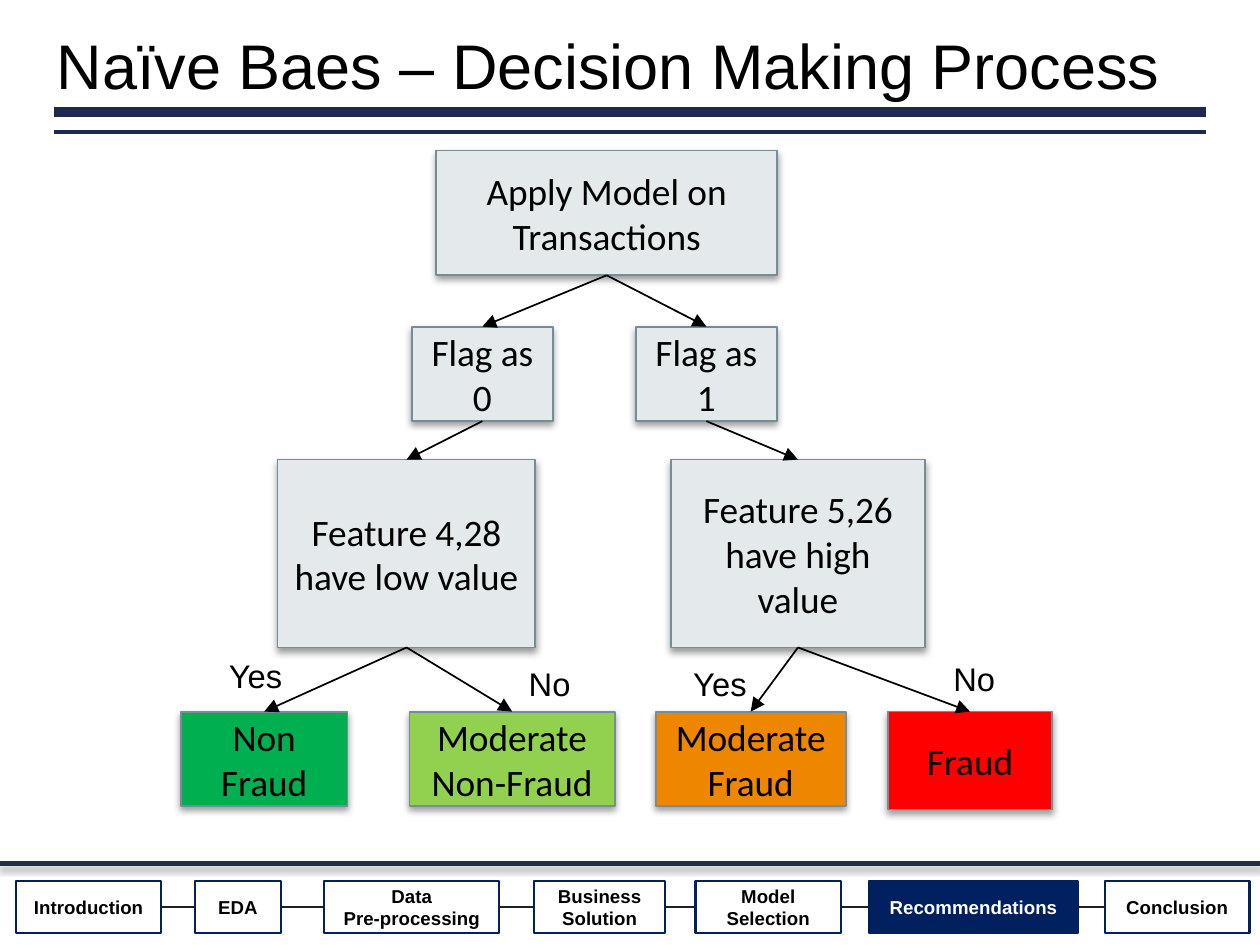
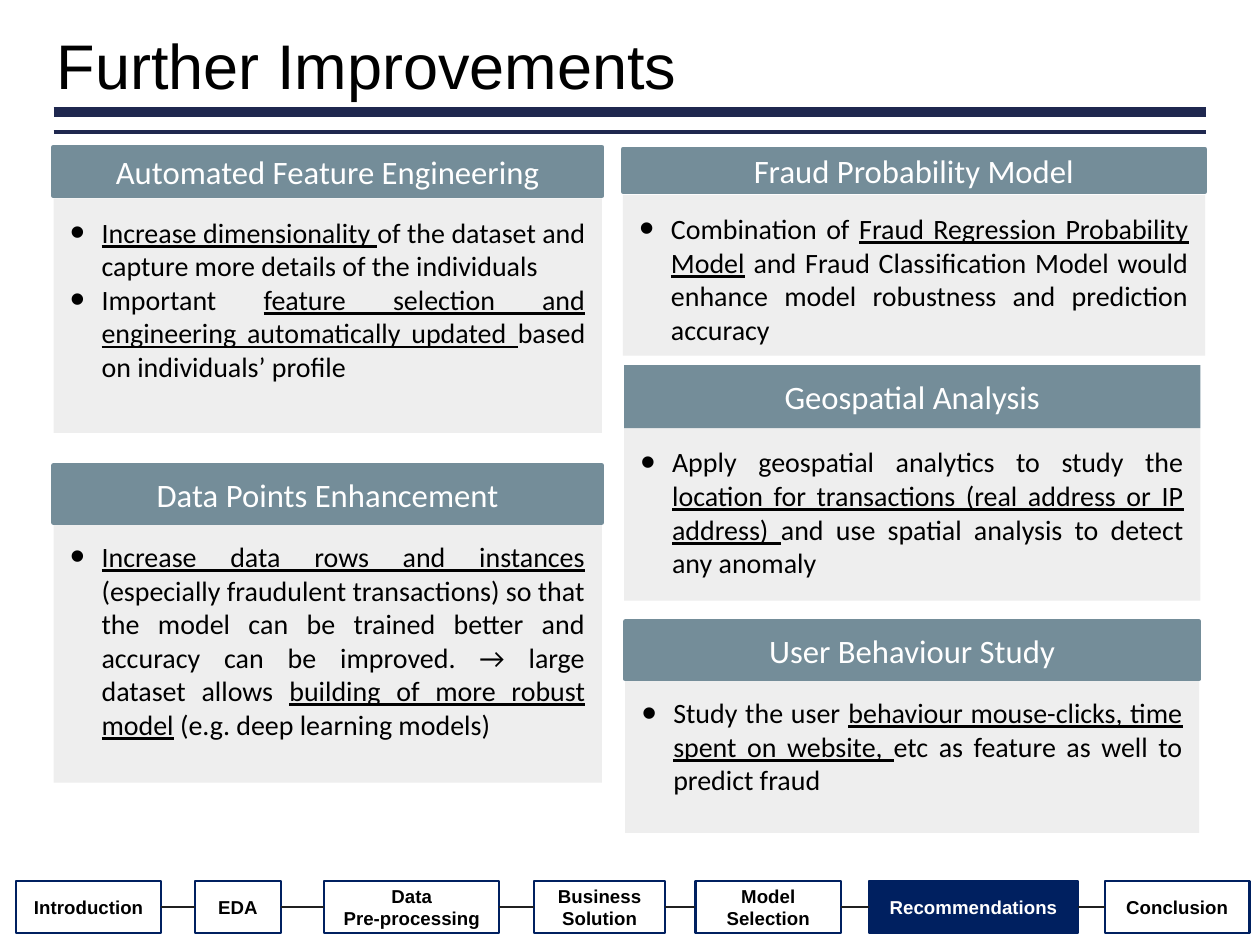
"""Build two slides on a fraud model: its decision tree and further improvements."""
import dataclasses
import itertools

import lxml.etree
import pptx
import pptx.dml.color
import pptx.enum.shapes
import pptx.enum.text
import pptx.oxml.ns
import pptx.util

Pt = pptx.util.Pt
qn = pptx.oxml.ns.qn
ALIGN = pptx.enum.text.PP_ALIGN
ANCHOR = pptx.enum.text.MSO_ANCHOR
TOP, LEFT, BOTTOM, RIGHT = range(4)


@dataclasses.dataclass(frozen=True)
class Theme:
    """Colours, fonts and type sizes of the deck."""
    black: str = "000000"
    white: str = "FFFFFF"
    rule: str = "1F284F"
    footer_rule: str = "222F3E"
    nav: str = "002060"
    nav_link: str = "202020"
    slate: str = "748D99"
    node: str = "E4E9EB"
    panel: str = "EEEEEE"
    safe: str = "00B050"
    fairly_safe: str = "92D050"
    risky: str = "EF8600"
    fraud: str = "FF0000"
    sans: str = "Arial"
    body: str = "Calibri"
    title_size: float = 27
    node_size: float = 16
    header_size: float = 14
    bullet_size: float = 12
    nav_size: float = 8


T = Theme()


def rgb(value):
    """Turn a hex string into a colour."""
    return pptx.dml.color.RGBColor.from_string(value)


def add_child(parent, tag, **attrs):
    """Append an XML element with the given attributes."""
    child = lxml.etree.SubElement(parent, qn(tag))
    for name, value in attrs.items():
        child.set(name, str(value))
    return child


def add_shadow(effects):
    """Fill an effect list with the soft shadow that falls downwards."""
    shadow = add_child(effects, "a:outerShdw", blurRad=Pt(3.1), dist=Pt(1.6),
                       dir=5400000, rotWithShape=0)
    add_child(add_child(shadow, "a:srgbClr", val=T.black), "a:alpha", val=38000)


def add_bullet(p):
    """Give a paragraph a hanging round bullet."""
    pPr = p._p.get_or_add_pPr()
    pPr.set("marL", str(Pt(13.5)))
    pPr.set("indent", str(Pt(-13.5)))
    add_child(add_child(pPr, "a:buClr"), "a:srgbClr", val=T.black)
    add_child(pPr, "a:buSzPct", val=150000)
    add_child(pPr, "a:buFont", typeface=T.sans)
    add_child(pPr, "a:buChar", char="•")


def put_text(sp, text, size, font=T.body, color=T.black, bold=False, align=ALIGN.CENTER,
             anchor=ANCHOR.MIDDLE, inset=(7.2, 3.6), bullet=False, spacing=None):
    """Write text with a paragraph per line and underlines between underscores."""
    tf = sp.text_frame
    tf.word_wrap = True
    tf.vertical_anchor = anchor
    tf.margin_left = tf.margin_right = Pt(inset[0])
    tf.margin_top = tf.margin_bottom = Pt(inset[1])
    for i, line in enumerate(text.split("\n")):
        p = tf.add_paragraph() if i else tf.paragraphs[0]
        p.alignment = align
        if spacing:
            p.line_spacing = spacing
        if bullet:
            add_bullet(p)
        for j, part in enumerate(line.split("_")):
            if part:
                r = p.add_run()
                r.text = part
                r.font.name, r.font.size, r.font.bold = font, Pt(size), bold
                r.font.color.rgb = rgb(color)
                if j % 2:
                    r.font.underline = True


def add_box(s, box, fill=None, line=None, width=1, shadow=False):
    """Add a rectangle with optional fill, outline and shadow."""
    sp = s.shapes.add_shape(pptx.enum.shapes.MSO_SHAPE.RECTANGLE, *map(Pt, box))
    sp.shadow.inherit = False
    if shadow:
        add_shadow(sp._element.spPr.find(qn("a:effectLst")))
    if fill:
        sp.fill.solid()
        sp.fill.fore_color.rgb = rgb(fill)
    else:
        sp.fill.background()
    if line:
        sp.line.color.rgb = rgb(line)
        sp.line.width = Pt(width)
    else:
        sp.line.fill.background()
    return sp


def add_line(s, color, width, ends=(0, 0, 0, 0), arrow=False, shadow=False):
    """Add a straight line with optional arrowhead and shadow."""
    cx = s.shapes.add_connector(pptx.enum.shapes.MSO_CONNECTOR.STRAIGHT, *map(Pt, ends))
    cx.line.color.rgb = rgb(color)
    cx.line.width = Pt(width)
    if arrow:
        add_child(cx.line._ln, "a:tailEnd", type="triangle")
    effects = add_child(cx._element.spPr, "a:effectLst")
    if shadow:
        add_shadow(effects)
    return cx


def link(s, start, start_site, end, end_site, color, arrow=False):
    """Join two shapes with a line glued to their sides."""
    cx = add_line(s, color, 0.75, arrow=arrow)
    cx.begin_connect(start, start_site)
    cx.end_connect(end, end_site)


def add_title(s, text, x, y, w):
    """Place the slide title above its double rule."""
    sp = s.shapes.add_textbox(*map(Pt, (x - 3, y, w + 3, 36.5)))
    put_text(sp, text, T.title_size, T.sans, align=ALIGN.LEFT, inset=(4.3, 2.2), spacing=0.9)
    for dy, width in ((36.5, 4.5), (45, 1.5)):
        add_line(s, T.rule, width, (x, y + dy, x + w, y + dy))


def add_nav(s, x, y, h, current):
    """Place the chain of section boxes and mark the current one."""
    sections = (("Introduction", 0, 62), ("EDA", 76.5, 37), ("Data\nPre-processing", 132, 75),
                ("Business Solution", 222, 56), ("Model Selection", 291, 62.5),
                ("Recommendations", 365.5, 89.5), ("Conclusion", 466.5, 62))
    boxes = []
    for name, dx, w in sections:
        active = name == current
        sp = add_box(s, (x + dx, y, w, h), T.nav if active else T.white, T.nav)
        put_text(sp, name, T.nav_size, T.sans, T.white if active else T.black, True,
                 inset=(4, 0))
        boxes.append(sp)
    for a, b in itertools.pairwise(boxes):
        link(s, a, RIGHT, b, LEFT, T.nav_link)


def add_slide(prs, title):
    """Add a blank slide with the shared title and section chain."""
    s = prs.slides.add_slide(prs.slide_layouts[6])
    add_nav(s, 7, 377.5, 22.5, "Recommendations")
    add_title(s, title, 23, 11.5, 494)
    return s


def add_tree(s, x, y):
    """Draw the decision tree from its top left corner."""
    nodes = {
        "model": ("Apply Model on Transactions", (109.5, 0, 146, 53.5), T.node),
        "flag 0": ("Flag as 0", (99, 75.5, 60.5, 40.5), T.node),
        "flag 1": ("Flag as 1", (195, 75.5, 60.5, 40.5), T.node),
        "low": ("Feature 4,28 have low value", (41.5, 132.5, 110.5, 80.5), T.node),
        "high": ("Feature 5,26 have high value", (210, 132.5, 109, 80.5), T.node),
        "safe": ("Non Fraud", (0, 240.5, 71.5, 40.5), T.safe),
        "fairly safe": ("Moderate Non-Fraud", (98, 240.5, 88, 40.5), T.fairly_safe),
        "risky": ("Moderate Fraud", (203.5, 240.5, 81.5, 40.5), T.risky),
        "fraud": ("Fraud", (303, 240.5, 70.5, 42), T.fraud),
    }
    links = (("model", "flag 0"), ("model", "flag 1"), ("flag 0", "low"), ("flag 1", "high"),
             ("low", "safe"), ("low", "fairly safe"), ("high", "risky"), ("high", "fraud"))
    answers = (("Yes", 13.5, 213), ("No", 142, 216.5), ("Yes", 212.5, 216.5), ("No", 324, 214.5))
    shapes = {}
    for key, (text, (dx, dy, w, h), fill) in nodes.items():
        sp = add_box(s, (x + dx, y + dy, w, h), fill, T.slate, 0.75, shadow=True)
        put_text(sp, text, T.node_size)
        shapes[key] = sp
    for parent, child in links:
        link(s, shapes[parent], BOTTOM, shapes[child], TOP, T.black, arrow=True)
    for text, dx, dy in answers:
        sp = s.shapes.add_textbox(*map(Pt, (x + dx, y + dy, 51, 24.5)))
        put_text(sp, text, T.header_size, T.sans, align=ALIGN.LEFT, anchor=ANCHOR.TOP)


def add_panel(s, box, header_h, title, bullets, gap=0, outline=T.slate):
    """Place a headed panel of bullets in the given box."""
    x, y, w, h = box
    top = header_h + gap
    body = add_box(s, (x, y + top, w, h - top), T.panel)
    put_text(body, bullets, T.bullet_size, align=ALIGN.JUSTIFY, anchor=ANCHOR.TOP,
             inset=(7.2, 7.2), bullet=True)
    header = add_box(s, (x, y, w, header_h), T.slate, outline, 2)
    put_text(header, title, T.header_size, color=T.white)


def tree_slide(prs):
    """Build the decision tree slide."""
    s = add_slide(prs, "Naïve Baes – Decision Making Process")
    add_line(s, T.footer_rule, 2, (0, 370, 540, 370), shadow=True)
    add_tree(s, 77.5, 64.5)


def improvements_slide(prs):
    """Build the slide of improvement panels."""
    s = add_slide(prs, "Further Improvements")
    add_panel(s, (23, 63, 235, 122.5), 21, "Automated Feature Engineering",
              "_Increase dimensionality _of the dataset and capture more details of the "
              "individuals\nImportant _feature selection and engineering automatically "
              "updated _based on individuals’ profile", gap=1)
    add_panel(s, (23, 199.5, 235, 136), 24.5, "Data Points Enhancement",
              "_Increase data rows and instances _(especially fraudulent transactions) so that "
              "the model can be trained better and accuracy can be improved. → large dataset "
              "allows _building of more robust model_ (e.g. deep learning models)")
    add_panel(s, (267, 64, 249.5, 88.5), 18, "Fraud Probability Model",
              "Combination of _Fraud Regression Probability Model_ and Fraud Classification "
              "Model would enhance model robustness and prediction accuracy", gap=1.5)
    add_panel(s, (267.5, 156.5, 247, 101), 27, "Geospatial Analysis",
              "Apply geospatial analytics to study the _location for transactions (real address "
              "or IP address) _and use spatial analysis to detect any anomaly", outline=None)
    add_panel(s, (268, 266.5, 246, 90.5), 24.5, "User Behaviour Study",
              "Study the user _behaviour mouse-clicks, time spent on website, _etc as feature as "
              "well to predict fraud")


def main():
    """Build and save the deck."""
    prs = pptx.Presentation()
    prs.slide_width, prs.slide_height = Pt(540), Pt(405)
    tree_slide(prs)
    improvements_slide(prs)
    prs.save("out.pptx")


if __name__ == "__main__":
    main()
